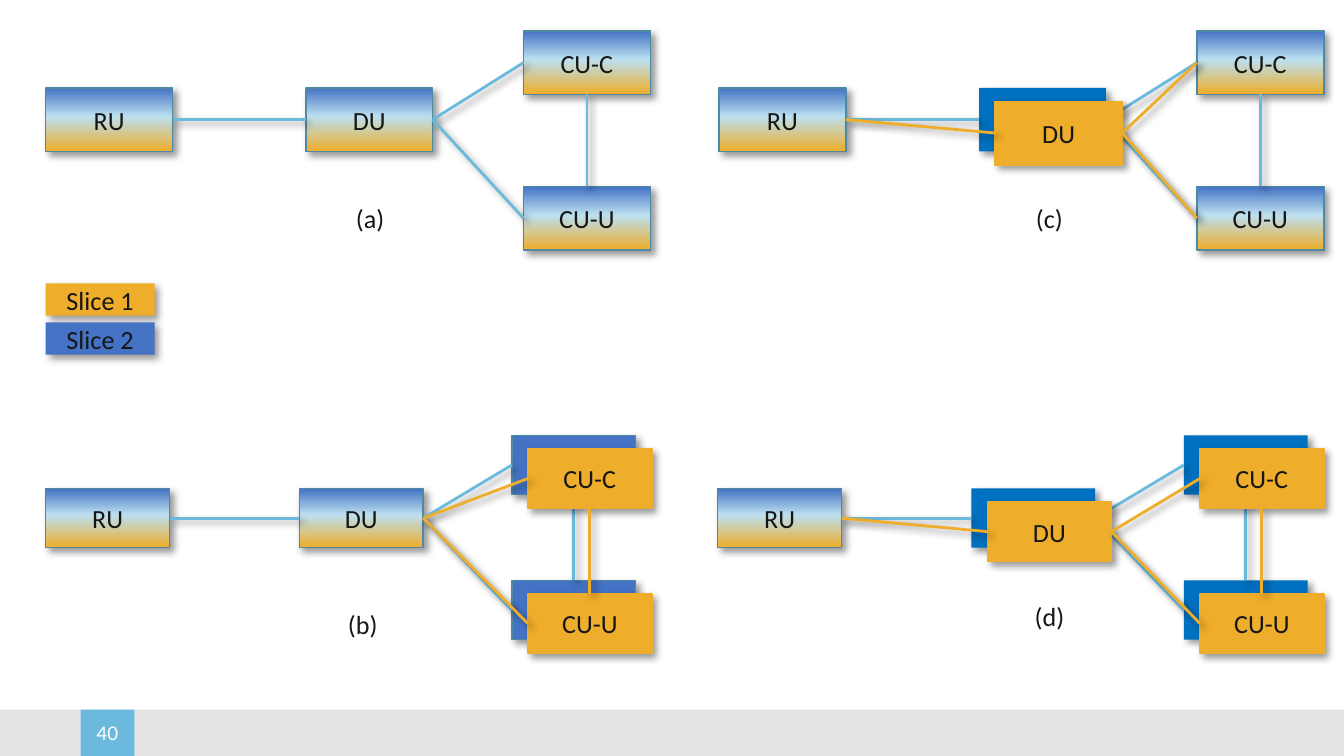
from collections import namedtuple

from lxml.etree import SubElement
from pptx import Presentation
from pptx.dml.color import RGBColor
from pptx.enum.shapes import MSO_CONNECTOR, MSO_SHAPE
from pptx.enum.text import MSO_ANCHOR, PP_ALIGN
from pptx.oxml.ns import qn
from pptx.util import Inches, Pt

AMBER = RGBColor(0xEE, 0xAD, 0x2A)
INDIGO = RGBColor(0x44, 0x72, 0xC4)
BLUE = RGBColor(0x00, 0x70, 0xC0)
SKY = RGBColor(0x6B, 0xBA, 0xDD)
PALE = RGBColor(0xBC, 0xE0, 0xF0)
EDGE = RGBColor(0x4F, 0x8A, 0xA3)
INK = RGBColor(0x16, 0x16, 0x16)
GREY = RGBColor(0xA6, 0xA6, 0xA6)
WHITE = RGBColor(0xFF, 0xFF, 0xFF)

SHARED = ((0, INDIGO), (45, PALE), (100, AMBER))  # gradient of a shared unit
TOP, LEFT, BOTTOM, RIGHT = range(4)  # connection sites of a rectangle
SLICE_SHIFT = (0.12, 0.1)  # slice 1 sits in front of slice 2

Box = namedtuple("Box", "left top width height")


def write(shape, text, size=14, font="Calibri", color=INK, align=PP_ALIGN.CENTER):
    frame = shape.text_frame
    frame.text = text
    para = frame.paragraphs[0]
    para.alignment = align
    span = para.runs[0]
    span.font.size = Pt(size)
    span.font.name = font
    span.font.color.rgb = color


def add_color(parent, color, alpha=None):
    node = SubElement(parent, qn("a:srgbClr"), val=str(color))
    if alpha is not None:
        SubElement(node, qn("a:alpha"), val=str(alpha * 1000))


def add_shadow(shape):
    effects = SubElement(shape._element.spPr, qn("a:effectLst"))
    shadow = SubElement(effects, qn("a:outerShdw"), blurRad=str(Pt(4)),
                        dist=str(Pt(3)), dir=str(45 * 60000), algn="tl", rotWithShape="0")
    add_color(shadow, "000000", 40)


def fill_gradient(shape, stops):
    shape.fill.gradient()
    shape.fill.gradient_angle = 270
    stop_list = shape._element.spPr.find(".//" + qn("a:gsLst"))
    for old in list(stop_list):
        stop_list.remove(old)
    for position, color in stops:
        add_color(SubElement(stop_list, qn("a:gs"), pos=str(position * 1000)), color)


def add_rect(shapes, box, fill, edge=None, text="", shadow=True):
    rect = shapes.add_shape(MSO_SHAPE.RECTANGLE, *(Inches(n) for n in box))
    if fill is SHARED:
        fill_gradient(rect, fill)
    else:
        rect.fill.solid()
        rect.fill.fore_color.rgb = fill
    if edge is None:
        rect.line.fill.background()
    else:
        rect.line.color.rgb = edge
        rect.line.width = Pt(0.85)
    if shadow:
        add_shadow(rect)
    else:
        rect.shadow.inherit = False
    rect.text_frame.vertical_anchor = MSO_ANCHOR.MIDDLE
    if text:
        write(rect, text)
    return rect


def add_link(shapes, start, start_site, end, end_site, color):
    link = shapes.add_connector(MSO_CONNECTOR.STRAIGHT, 0, 0, 0, 0)
    link.begin_connect(start, start_site)
    link.end_connect(end, end_site)
    link.line.color.rgb = color
    link.line.width = Pt(1.5)
    add_shadow(link)


def add_central_links(shapes, units, color, between_central=True):
    """Join the distributed unit to both central units, and these to each other."""
    distributed, control, user = units
    for central in (control, user):
        add_link(shapes, distributed, RIGHT, central, LEFT, color)
    if between_central:
        add_link(shapes, user, TOP, control, BOTTOM, color)


def add_caption(page, left, top, text):
    caption = page.shapes.add_textbox(Inches(left), Inches(top), Inches(0.42), Inches(0.34))
    caption.text_frame.word_wrap = False
    write(caption, text, align=PP_ALIGN.LEFT)


def draw_panel(page, box, sliced=(), back=BLUE, back_edge=None):
    """One split option; units named in sliced get a copy for each slice."""
    shapes = page.shapes.add_group_shape().shapes

    def place(x, y, shift=(0, 0)):
        return Box(box.left + x * box.width + shift[0], box.top + y * box.height + shift[1],
                   0.21 * box.width, 0.29 * box.height)

    spots = {"DU": (0.43, 0.26), "CU-C": (0.79, 0), "CU-U": (0.79, 0.71)}
    radio = add_rect(shapes, place(0, 0.26), SHARED, EDGE, "RU")

    # Shared units and the rear copies for slice 2
    rear = {}
    for name, spot in spots.items():
        if name in sliced:
            rear[name] = add_rect(shapes, place(*spot), back, back_edge)
        else:
            rear[name] = add_rect(shapes, place(*spot), SHARED, EDGE, name)
    add_link(shapes, radio, RIGHT, rear["DU"], LEFT, SKY)
    add_central_links(shapes, rear.values(), SKY)

    # Front copies for slice 1
    if sliced:
        front = dict(rear)
        for name in sliced:
            front[name] = add_rect(shapes, place(*spots[name], SLICE_SHIFT), AMBER, AMBER, name)
        if "DU" in sliced:
            add_link(shapes, radio, RIGHT, front["DU"], LEFT, AMBER)
        add_central_links(shapes, front.values(), AMBER, "CU-C" in sliced)


def draw_legend(page, box):
    shapes = page.shapes.add_group_shape().shapes
    for row, (text, color) in enumerate((("Slice 1", AMBER), ("Slice 2", INDIGO))):
        add_rect(shapes, Box(box.left, box.top + row * 0.29, box.width, 0.24), color, text=text)


def draw_footer(page, box):
    band = add_rect(page.shapes, box, GREY, shadow=False)
    color = band._element.spPr.find(".//" + qn("a:srgbClr"))
    SubElement(color, qn("a:alpha"), val="30000")
    number = add_rect(page.shapes, Box(box.left + 0.6, box.top, 0.4, box.height), SKY, shadow=False)
    number.text_frame.word_wrap = False
    write(number, "40", 10, "Lato", WHITE)


def main():
    deck = Presentation()
    deck.slide_width = Inches(10)
    deck.slide_height = Inches(10 * 9 / 16)  # widescreen
    page = deck.slides.add_slide(deck.slide_layouts[6])

    draw_footer(page, Box(0, 5.28, 10, 0.35))

    # Four split options
    central = ("CU-C", "CU-U")
    draw_panel(page, Box(0.34, 3.24, 4.39, 1.52), central, INDIGO, EDGE)
    draw_panel(page, Box(0.34, 0.23, 4.5, 1.63))
    draw_legend(page, Box(0.34, 2.11, 0.81, 0.53))
    draw_panel(page, Box(5.35, 0.23, 4.5, 1.63), ("DU",))
    draw_panel(page, Box(5.34, 3.24, 4.39, 1.52), ("DU",) + central)

    for left, top, text in ((2.55, 1.46, "(a)"), (2.49, 4.48, "(b)"),
                            (7.61, 1.46, "(c)"), (7.6, 4.42, "(d)")):
        add_caption(page, left, top, text)

    deck.save("out.pptx")


if __name__ == "__main__":
    main()
